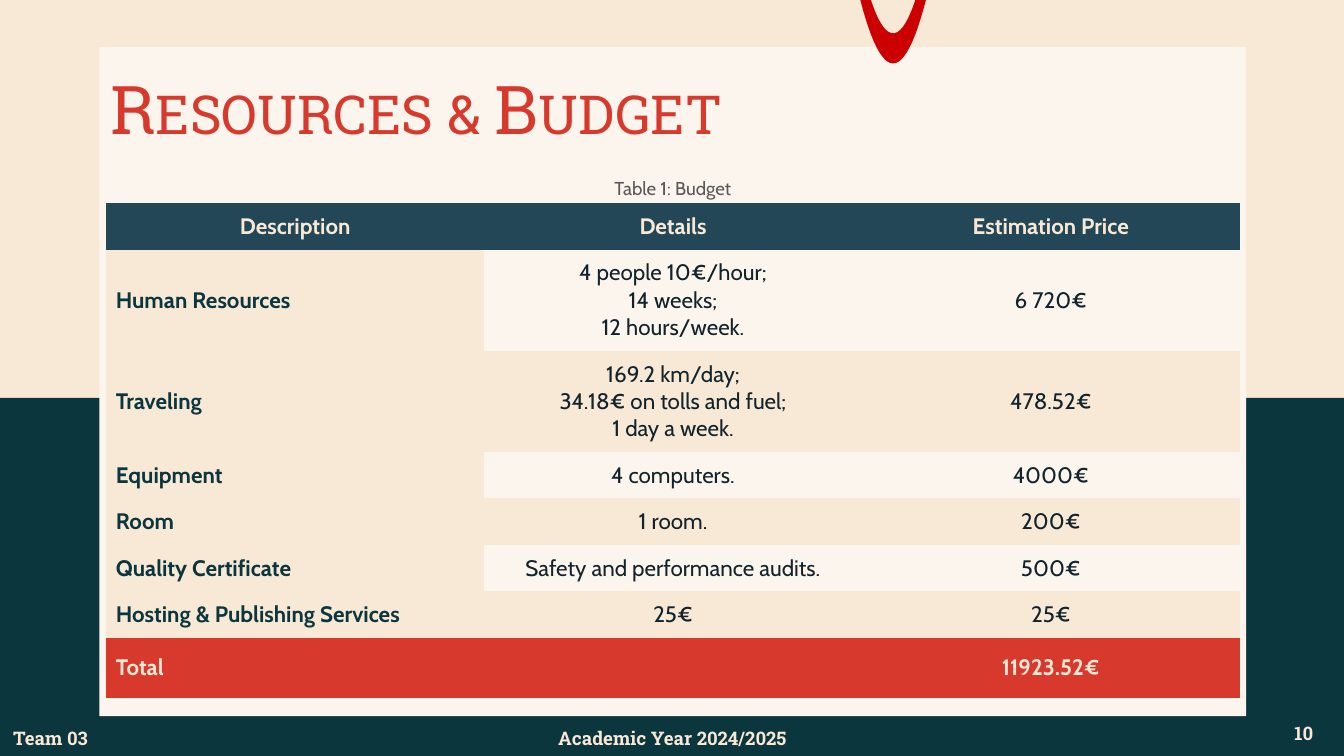
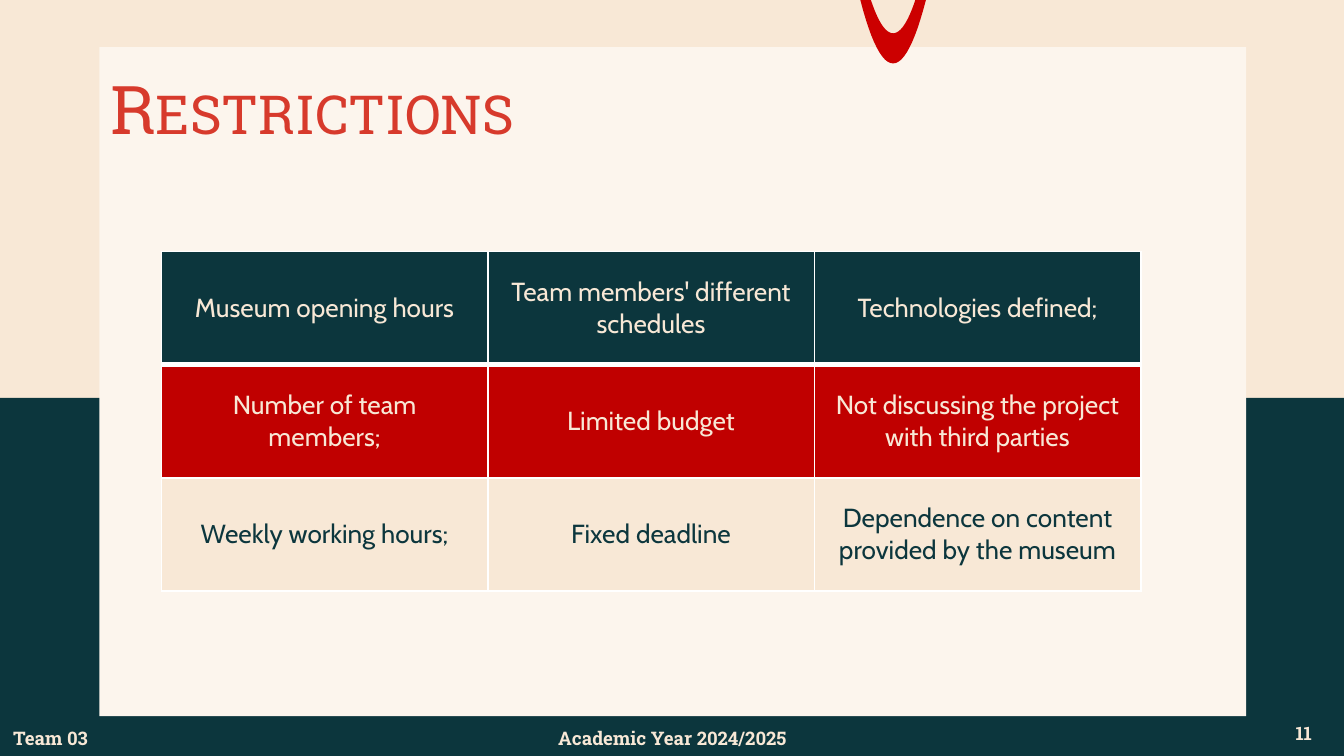
from lxml import etree
from pptx import Presentation
from pptx.dml.color import RGBColor
from pptx.enum.shapes import MSO_SHAPE
from pptx.enum.text import MSO_ANCHOR, MSO_AUTO_SIZE, PP_ALIGN
from pptx.oxml.ns import qn
from pptx.util import Cm, Pt

RECTANGLE = MSO_SHAPE.RECTANGLE
MIDDLE = MSO_ANCHOR.MIDDLE
NO_FIT = MSO_AUTO_SIZE.NONE
LEFT, CENTER, JUSTIFY = PP_ALIGN.LEFT, PP_ALIGN.CENTER, PP_ALIGN.JUSTIFY

WIDTH, HEIGHT = 25.4, 14.29
TITLE_FONT, BODY_FONT = "Roboto Slab", "Cabin"
PLAIN_TABLE = "{2D5ABB26-0587-4C30-8999-92F81FD0307C}"
COLORS = {
    "cream": "F8E8D6",
    "teal": "0C363D",
    "card": "FCF5ED",
    "arch": "CC0000",
    "title": "D73A2C",
    "header": "234756",
    "ink": "11232B",
    "caption": "595959",
    "red": "C00000",
    "white": "FFFFFF",
}


class Deck:
    """Holds the shared style and the slide being built."""

    def __init__(self):
        self.deck = Presentation()
        self.deck.slide_width, self.deck.slide_height = Cm(WIDTH), Cm(HEIGHT)
        self.page = None

    def color(self, name):
        return RGBColor.from_string(COLORS[name])

    def add_page(self, title, number):
        self.page = self.deck.slides.add_slide(self.deck.slide_layouts[5])
        # Background bands, card and arch
        self.band(0, 0, WIDTH, HEIGHT, "cream")
        self.band(0, 7.52, WIDTH, HEIGHT - 7.52, "teal")
        self.band(1.88, 0.89, 21.67, 12.65, "card")
        self.arch(16.88, 0.62, 1.2, 0.42, 0.63)
        self.title(title)
        # Footer
        self.text(23.88, 13.31, 1.52, 1.09, str(number))
        self.text(9.91, 13.51, 5.59, 0.89, "Academic Year 2024/2025")
        self.text(0, 13.51, 2.4, 0.89, "Team 03", align=LEFT)

    def paint(self, shape, color):
        shape.fill.solid()
        shape.fill.fore_color.rgb = self.color(color)
        shape.line.fill.background()
        shape.shadow.inherit = False

    def band(self, left, top, width, height, color):
        box = self.page.shapes.add_shape(RECTANGLE, Cm(left), Cm(top), Cm(width), Cm(height))
        self.paint(box, color)

    def arch(self, center, outer_half, outer_depth, inner_half, inner_depth):
        def curve(half, depth):
            steps = [i / 12 for i in range(-12, 13)]
            return [(Cm(center + half * t), Cm(depth * (1 - t * t))) for t in steps]

        points = curve(outer_half, outer_depth) + curve(inner_half, inner_depth)[::-1]
        builder = self.page.shapes.build_freeform(*points[0], scale=1.0)
        builder.add_line_segments(points[1:], close=True)
        self.paint(builder.convert_to_shape(), "arch")

    def set_frame(self, frame):
        frame.word_wrap = True
        frame.auto_size = NO_FIT
        frame.vertical_anchor = MIDDLE
        frame.margin_left = frame.margin_right = Cm(0.25)
        frame.margin_top = frame.margin_bottom = Cm(0.25)

    def add_lines(self, frame, text, size, font, color, bold=False, align=CENTER):
        for index, line in enumerate(text.split("\n")):
            para = frame.add_paragraph() if index else frame.paragraphs[0]
            para.alignment = align
            span = para.add_run()
            span.text = line
            span.font.size, span.font.name, span.font.bold = Pt(size), font, bold
            span.font.color.rgb = self.color(color)

    def title(self, text):
        box = self.page.shapes.title
        self.page.shapes._spTree.append(box._element)  # bring in front of the card
        box.left, box.top, box.width, box.height = Cm(1.83), Cm(1.24), Cm(22.71), Cm(1.6)
        self.set_frame(box.text_frame)
        self.add_lines(box.text_frame, text, 36, TITLE_FONT, "title", align=JUSTIFY)
        para = box.text_frame.paragraphs[0]
        para.space_after = Pt(36)
        para.runs[0].font._element.set("cap", "small")

    def text(self, left, top, width, height, text, font=TITLE_FONT,
             color="cream", bold=True, align=CENTER):
        box = self.page.shapes.add_textbox(Cm(left), Cm(top), Cm(width), Cm(height))
        self.set_frame(box.text_frame)
        self.add_lines(box.text_frame, text, 10, font, color, bold, align)

    def table(self, left, top, column_width, heights, columns=3):
        frame = self.page.shapes.add_table(
            len(heights), columns, Cm(left), Cm(top),
            Cm(column_width * columns), Cm(sum(heights)))
        table = frame.table
        table._tbl.tblPr.find(qn("a:tableStyleId")).text = PLAIN_TABLE
        for column in table.columns:
            column.width = Cm(column_width)
        for row, height in zip(table.rows, heights):
            row.height = Cm(height)
        return table

    def cell(self, cell, text, size, color, fill, margins, bold=False, align=CENTER):
        cell.vertical_anchor = MIDDLE
        cell.margin_left = cell.margin_right = Cm(margins[0])
        cell.margin_top = cell.margin_bottom = Cm(margins[1])
        if fill:
            cell.fill.solid()
            cell.fill.fore_color.rgb = self.color(fill)
        else:
            cell.fill.background()
        if text:
            self.add_lines(cell.text_frame, text, size, BODY_FONT, color, bold, align)

    def borders(self, cell, color, widths):
        """Draw cell edges; call before the cell is filled."""
        properties = cell._tc.get_or_add_tcPr()
        for edge, width in zip(("lnL", "lnR", "lnT", "lnB"), widths):
            line = etree.SubElement(properties, qn(f"a:{edge}"), w=str(Pt(width)))
            fill = etree.SubElement(line, qn("a:solidFill"))
            etree.SubElement(fill, qn("a:srgbClr"), val=COLORS[color])


BUDGET = [
    ("Description", "Details", "Estimation Price"),
    ("Human Resources", "4 people 10€/hour;\n14 weeks;\n12 hours/week.", "6 720€"),
    ("Traveling", "169.2 km/day;\n34.18€ on tolls and fuel;\n1 day a week.", "478.52€"),
    ("Equipment", "4 computers.", "4000€"),
    ("Room", "1 room.", "200€"),
    ("Quality Certificate", "Safety and performance audits.", "500€"),
    ("Hosting & Publishing Services", "25€", "25€"),
    ("Total", "", "11923.52€"),
]
RESTRICTIONS = [
    ("Museum opening hours", "Team members' different schedules", "Technologies defined;"),
    ("Number of team members;", "Limited budget",
     "Not discussing the project with third parties"),
    ("Weekly working hours;", "Fixed deadline",
     "Dependence on content provided by the museum"),
]


def budget_page(deck):
    deck.add_page("Resources & Budget", 10)
    table = deck.table(2.01, 3.84, 7.14, [0.87, 1.91, 1.91] + [0.87] * 4 + [1.06])
    last = len(BUDGET) - 1
    for r, row in enumerate(BUDGET):
        for c, text in enumerate(row):
            label = c == 0
            if r in (0, last):
                color, fill = "cream", "title" if r else "header"
            else:
                color = "teal" if label else "ink"
                fill = "cream" if label or r % 2 == 0 else None
            deck.cell(table.cell(r, c), text, 12, color, fill, (0.18, 0.18),
                      bold=label or r in (0, last),
                      align=LEFT if label and r else CENTER)
    deck.text(7.62, 3.28, 10.19, 0.56, "Table 1: Budget", BODY_FONT, "caption", False)


def restrictions_page(deck):
    deck.add_page("Restrictions", 11)
    table = deck.table(3.05, 4.75, 6.17, [2.14] * 3)
    styles = [("cream", "teal"), ("cream", "red"), ("teal", "cream")]
    edges = [(1, 1, 1, 3), (1, 1, 3, 1), (1, 1, 1, 1)]
    for r, row in enumerate(RESTRICTIONS):
        for c, text in enumerate(row):
            cell = table.cell(r, c)
            deck.borders(cell, "white", edges[r])
            deck.cell(cell, text, 14, *styles[r], (0.25, 0.13))


def main():
    deck = Deck()
    budget_page(deck)
    restrictions_page(deck)
    deck.deck.save("out.pptx")


if __name__ == "__main__":
    main()
